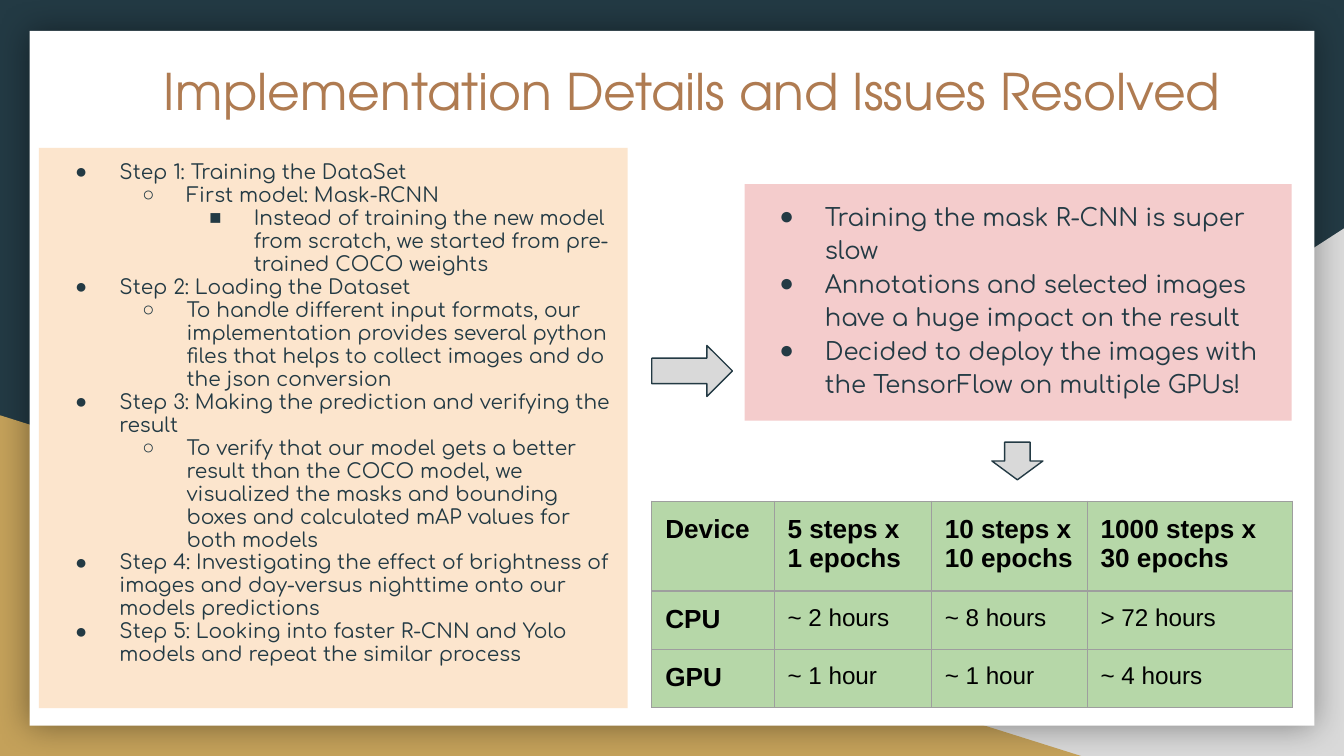
from lxml import etree
from pptx import Presentation
from pptx.dml.color import RGBColor
from pptx.enum.shapes import MSO_SHAPE as SHAPE
from pptx.enum.text import MSO_ANCHOR as ANCHOR, PP_ALIGN as ALIGN
from pptx.oxml.ns import qn
from pptx.util import Inches, Pt

NAVY = RGBColor(0x23, 0x3A, 0x44)
GOLD = RGBColor(0xC4, 0xA1, 0x5A)
GRAY = RGBColor(0xD9, 0xD9, 0xD9)
WHITE = RGBColor(0xFF, 0xFF, 0xFF)
BLACK = RGBColor(0, 0, 0)
BROWN = RGBColor(0xAF, 0x7B, 0x51)
PEACH = RGBColor(0xFC, 0xE5, 0xCD)
PINK = RGBColor(0xF4, 0xCC, 0xCC)
GREEN = RGBColor(0xB6, 0xD7, 0xA8)
BORDER = RGBColor(0x9E, 0x9E, 0x9E)

TITLE_FONT, BODY_FONT, TABLE_FONT = "TeX Gyre Adventor", "Comfortaa", "Arial"
BULLETS = "●○■"


def add_xml(parent, tag, **attrs):
    el = etree.SubElement(parent, qn(tag))
    for name, value in attrs.items():
        el.set(name, str(value))
    return el


class Deck:
    def __init__(self, width):
        self.prs = Presentation()
        self.prs.slide_width = Inches(width)
        self.prs.slide_height = Inches(width * 9 / 16)
        self.s = None

    def slide(self, color):
        self.s = self.prs.slides.add_slide(self.prs.slide_layouts[6])
        self.s.background.fill.solid()
        self.s.background.fill.fore_color.rgb = color

    def shape(self, kind, box, fill, line=None, flip=False, glow=False):
        sp = self.s.shapes.add_shape(kind, *map(Inches, box))
        sp.shadow.inherit = False
        sp.fill.solid()
        sp.fill.fore_color.rgb = fill
        if line is None:
            sp.line.fill.background()
        else:
            sp.line.color.rgb = line
            sp.line.width = Pt(0.75)
        sp_pr = sp._element.spPr
        if flip:
            sp_pr.find(qn("a:xfrm")).set("flipH", "1")
        if glow:
            shadow = add_xml(sp_pr.find(qn("a:effectLst")), "a:outerShdw",
                             blurRad=Pt(18), dist=0, dir=0, algn="ctr", rotWithShape=0)
            add_xml(add_xml(shadow, "a:srgbClr", val=BLACK), "a:alpha", val=40000)
        return sp

    def pad(self, holder):
        """Top anchor and equal margins for a text frame or a table cell."""
        holder.vertical_anchor = ANCHOR.TOP
        holder.margin_left = holder.margin_right = Inches(0.1)
        holder.margin_top = holder.margin_bottom = Inches(0.1)

    def run(self, p, text, font, size, color, bold=False):
        p.alignment = ALIGN.LEFT
        r = p.add_run()
        r.text = text
        r.font.name, r.font.size, r.font.bold = font, Pt(size), bold
        r.font.color.rgb = color

    def title(self, box, text):
        tf = self.s.shapes.add_textbox(*map(Inches, box)).text_frame
        tf.word_wrap = True
        self.pad(tf)
        self.run(tf.paragraphs[0], text, TITLE_FONT, 27, BROWN)

    def bullet_panel(self, box, fill, items, size, spacing, hang):
        tf = self.shape(SHAPE.RECTANGLE, box, fill).text_frame
        tf.word_wrap = True
        self.pad(tf)
        for i, (level, text) in enumerate(items):
            p = tf.add_paragraph() if i else tf.paragraphs[0]
            p.level = level
            p.line_spacing = spacing
            p_pr = p._p.get_or_add_pPr()
            p_pr.set("marL", str(Inches(0.5 * (level + 1))))
            p_pr.set("indent", str(-Inches(hang)))
            add_xml(add_xml(p_pr, "a:buClr"), "a:srgbClr", val=NAVY)
            add_xml(p_pr, "a:buFont", typeface=TABLE_FONT)
            add_xml(p_pr, "a:buChar", char=BULLETS[level])
            self.run(p, text, BODY_FONT, size, NAVY)

    def borders(self, cell):
        tc_pr = cell._tc.get_or_add_tcPr()
        for i, side in enumerate(("a:lnL", "a:lnR", "a:lnT", "a:lnB")):
            ln = etree.Element(qn(side), w=str(Pt(0.75)))
            add_xml(add_xml(ln, "a:solidFill"), "a:srgbClr", val=BORDER)
            tc_pr.insert(i, ln)

    def table(self, left, top, widths, row_height, rows):
        box = (left, top, sum(widths), row_height * len(rows))
        tbl = self.s.shapes.add_table(len(rows), len(widths), *map(Inches, box)).table
        tbl.first_row = tbl.horz_banding = False
        for col, width in zip(tbl.columns, widths):
            col.width = Inches(width)
        for i, texts in enumerate(rows):
            for j, text in enumerate(texts):
                cell = tbl.cell(i, j)
                cell.fill.solid()
                cell.fill.fore_color.rgb = GREEN
                self.borders(cell)
                self.pad(cell)
                header = i == 0 or j == 0
                self.run(cell.text_frame.paragraphs[0], text, TABLE_FONT,
                         14 if header else 13, BLACK, header)


STEPS = [
    (0, "Step 1: Training the DataSet"),
    (1, "First model: Mask-RCNN"),
    (2, "Instead of training the new model from scratch, we started from "
        "pre-trained COCO weights"),
    (0, "Step 2: Loading the Dataset"),
    (1, "To handle different input formats, our implementation provides several "
        "python files that helps to collect images and do the json conversion"),
    (0, "Step 3: Making the prediction and verifying the result"),
    (1, "To verify that our model gets a better result than the COCO model, we "
        "visualized the masks and bounding boxes and calculated mAP values for both models"),
    (0, "Step 4: Investigating the effect of brightness of images and "
        "day-versus nighttime onto our models predictions"),
    (0, "Step 5: Looking into faster R-CNN and Yolo models and repeat the similar process"),
]
ISSUES = [
    (0, "Training the mask R-CNN is super slow"),
    (0, "Annotations and selected images have a huge impact on the result"),
    (0, "Decided to deploy the images with the TensorFlow on multiple GPUs!"),
]
TIMINGS = [
    ["Device", "5 steps x 1 epochs", "10 steps x 10 epochs", "1000 steps x 30 epochs"],
    ["CPU", "~ 2 hours", "~ 8 hours", "> 72 hours"],
    ["GPU", "~ 1 hour", "~ 1 hour", "~ 4 hours"],
]


def main():
    deck = Deck(10)
    deck.slide(NAVY)

    # Backdrop: corner triangles and white card
    deck.shape(SHAPE.RIGHT_TRIANGLE, (3.92, 1.7, 6.08, 3.93), GRAY, flip=True)
    deck.shape(SHAPE.RIGHT_TRIANGLE, (0, 3.09, 8.06, 2.54), GOLD)
    deck.shape(SHAPE.RECTANGLE, (0.22, 0.23, 9.56, 5.17), WHITE, glow=True)

    # Title
    deck.title((1.12, 0.35, 8.21, 1.04), "Implementation Details and Issues Resolved")

    # Steps on the left, issues on the right
    deck.bullet_panel((0.29, 1.1, 4.38, 4.17), PEACH, STEPS, 10.8, 0.95, 0.33)
    deck.bullet_panel((5.54, 1.37, 4.07, 1.76), PINK, ISSUES, 13, 1.15, 0.34)

    # Arrow from steps to issues
    deck.shape(SHAPE.RIGHT_ARROW, (4.85, 2.57, 0.6, 0.38), GRAY, NAVY)

    # Timing table, rows grow to fit their text
    deck.table(4.85, 3.73, [0.91, 1.17, 1.16, 1.53], 0.26, TIMINGS)

    # Arrow from issues to timings
    deck.shape(SHAPE.DOWN_ARROW, (7.38, 3.29, 0.38, 0.28), GRAY, NAVY)

    deck.prs.save("out.pptx")


if __name__ == "__main__":
    main()
